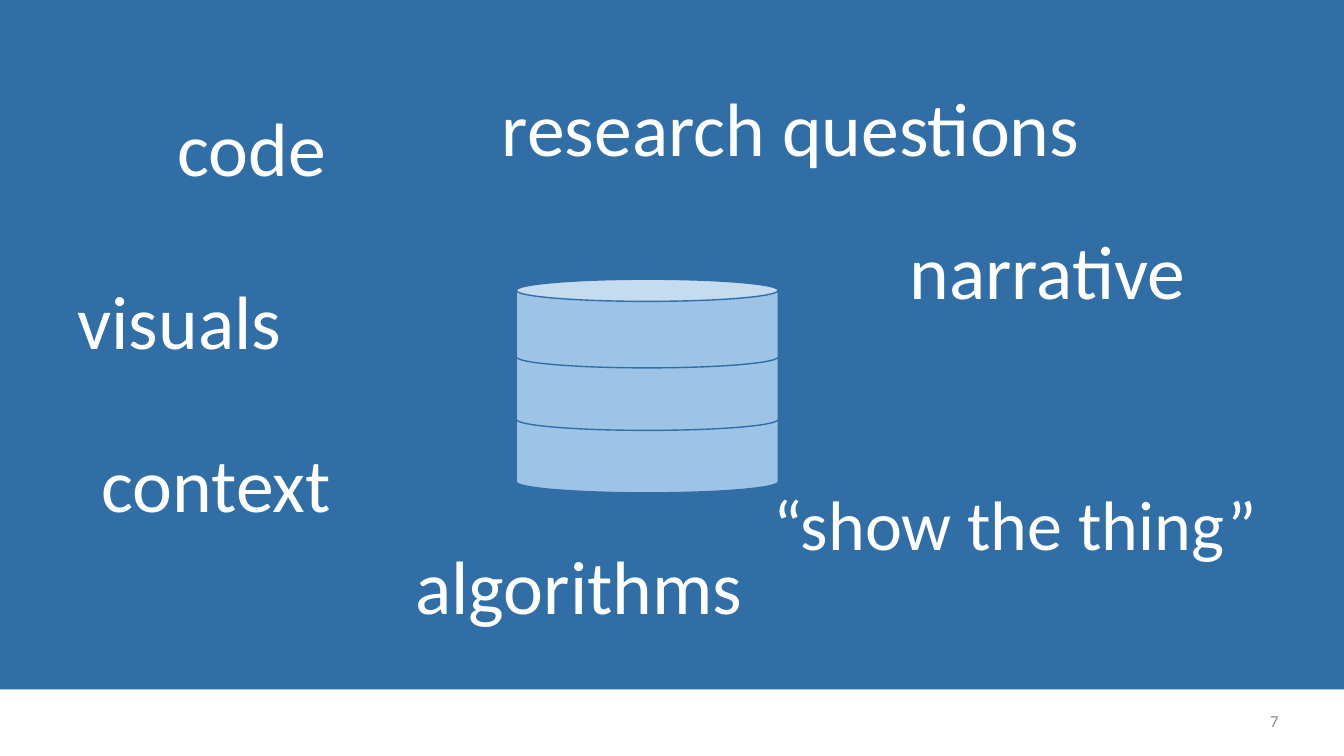
import pptx
import pptx.dml.color
import pptx.enum.shapes
import pptx.enum.text
import pptx.util

Inches = pptx.util.Inches
SHAPES = pptx.enum.shapes.MSO_SHAPE
ALIGN = pptx.enum.text.PP_ALIGN

BLUE = "306EA5"
LIGHT_BLUE = "9DC3E6"
WHITE = "FFFFFF"
GRAY = "8C8C8C"


def color(hex_code):
    return pptx.dml.color.RGBColor.from_string(hex_code)


def write(box, text, size=54, ink=WHITE, align=ALIGN.LEFT, spacing=0.9):
    frame = box.text_frame
    frame.word_wrap = True
    frame.auto_size = pptx.enum.text.MSO_AUTO_SIZE.NONE
    frame.vertical_anchor = pptx.enum.text.MSO_ANCHOR.MIDDLE
    para = frame.paragraphs[0]
    para.alignment = align
    para.line_spacing = spacing
    span = para.add_run()
    span.text = text
    span.font.name = "Calibri"
    span.font.size = pptx.util.Pt(size)
    span.font.color.rgb = color(ink)


deck = pptx.Presentation()
deck.slide_width = Inches(13.33)
deck.slide_height = Inches(7.5)
page = deck.slides.add_slide(deck.slide_layouts[5])
page.background.fill.solid()
page.background.fill.fore_color.rgb = color(BLUE)

# Footer band with the page number
band = page.shapes.add_shape(
    SHAPES.RECTANGLE, 0, Inches(6.84), deck.slide_width, Inches(0.66))
band.shadow.inherit = False
band.fill.solid()
band.fill.fore_color.rgb = color(WHITE)
band.line.fill.background()

number = page.shapes.add_textbox(Inches(9.78), Inches(6.95), Inches(3), Inches(0.4))
write(number, "7", size=12, ink=GRAY, align=ALIGN.RIGHT, spacing=1)

# Database cylinder, stacked from the bottom disk up
for level in range(3):
    disk = page.shapes.add_shape(
        SHAPES.CAN, Inches(5.12), Inches(4.01 - 0.62 * level), Inches(2.6), Inches(0.88))
    disk.shadow.inherit = False
    disk.fill.solid()
    disk.fill.fore_color.rgb = color(LIGHT_BLUE)
    disk.line.color.rgb = color(BLUE)
    disk.line.width = pptx.util.Pt(1)

# Words around the cylinder
title = page.shapes.title
title.left, title.top = Inches(8.92), Inches(2.25)
title.width, title.height = Inches(3.86), Inches(0.96)
write(title, "narrative")

words = [
    ("code", 1.66, 1.03, 2.36, 54),
    ("context", 0.91, 4.36, 3.86, 54),
    ("research questions", 4.88, 0.83, 6.42, 54),
    ("“show the thing”", 7.57, 4.76, 5.21, 50),
    ("algorithms", 4.02, 5.37, 3.86, 54),
    ("visuals", 0.67, 2.74, 3.86, 54),
]
for word, left, top, width, size in words:
    box = page.shapes.add_textbox(Inches(left), Inches(top), Inches(width), Inches(0.96))
    write(box, word, size=size)

deck.save("out.pptx")
